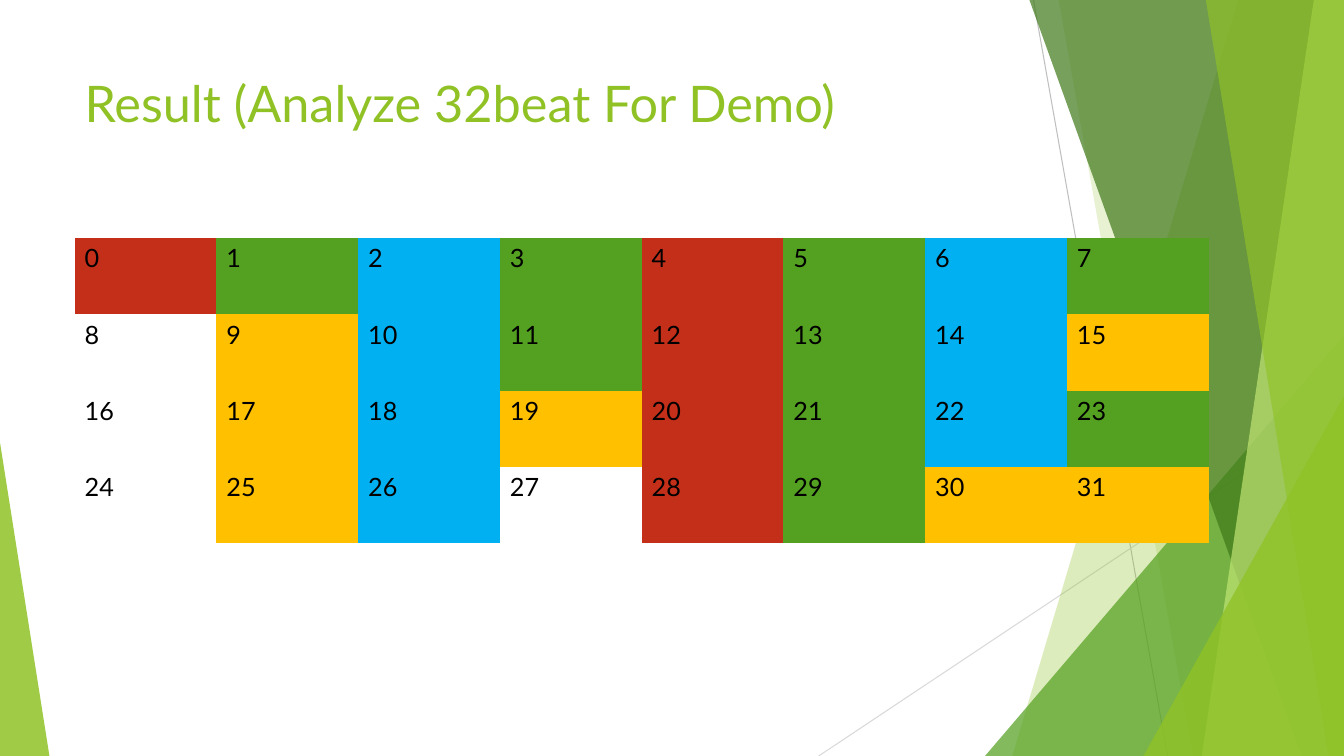
from lxml import etree
from pptx import Presentation
from pptx.dml.color import RGBColor
from pptx.enum.shapes import MSO_CONNECTOR, MSO_SHAPE
from pptx.enum.text import MSO_ANCHOR
from pptx.oxml.ns import qn
from pptx.util import Inches, Pt

STRAIGHT = MSO_CONNECTOR.STRAIGHT
TRIANGLE = MSO_SHAPE.ISOSCELES_TRIANGLE
TOP = MSO_ANCHOR.TOP
NO_STYLE = "{2D5ABB26-0587-4C30-8999-92F81FD0307C}"
W, H = 13.33, 7.5
ROWS, COLS = 4, 8


def color(value):
    return RGBColor.from_string(value)


def paint(sp, value, opacity):
    sp.shadow.inherit = False
    sp.line.fill.background()
    sp.fill.solid()
    sp.fill.fore_color.rgb = color(value)
    clr = sp.fill._xPr.find(".//" + qn("a:srgbClr"))
    etree.SubElement(clr, qn("a:alpha")).set("val", str(opacity * 1000))


prs = Presentation()
prs.slide_width, prs.slide_height = Inches(W), Inches(H)
s = prs.slides.add_slide(prs.slide_layouts[6])

for x1, y1, x2, y2, value in [
    (10.25, 0, 11.58, H, "BFBFBF"),
    (W, 4.03, 8.12, H, "D9D9D9"),
]:
    line = s.shapes.add_connector(STRAIGHT, Inches(x1), Inches(y1), Inches(x2), Inches(y2))
    line.line.color.rgb = color(value)
    line.line.width = Pt(0.75)
    etree.SubElement(line._element.spPr, qn("a:effectLst"))

facets = [
    ("band", 12.28, 10.04, "90C226", 30),
    ("band", 10.5, 11.83, "90C226", 20),
    ("triangle", 9.77, 3.33, "54A021", 72),
    ("band", 10.21, 12.91, "3F7819", 70),
    ("band", 13.03, 11.92, "C0E474", 70),
    ("band", 11.96, 13.18, "90C226", 65),
    ("triangle", 11.34, 3.93, "90C226", 80),
]
for kind, a, b, value, opacity in facets:
    if kind == "band":
        fb = s.shapes.build_freeform(Inches(a), 0)
        fb.add_line_segments([(Inches(x), Inches(y)) for x, y in [(W, 0), (W, H), (b, H)]])
        sp = fb.convert_to_shape()
    else:
        sp = s.shapes.add_shape(TRIANGLE, Inches(a), Inches(b), Inches(W - a), Inches(H - b))
        sp.adjustments[0] = 1
    paint(sp, value, opacity)

left_facet = s.shapes.add_shape(TRIANGLE, 0, Inches(4.39), Inches(0.49), Inches(H - 4.39))
left_facet.adjustments[0] = 0
paint(left_facet, "90C226", 85)

title = s.shapes.add_textbox(Inches(0.74), Inches(0.67), Inches(9.4), Inches(1.44))
tf = title.text_frame
tf.word_wrap = True
tf.vertical_anchor = TOP
r = tf.paragraphs[0].add_run()
r.text = "Result (Analyze 32beat For Demo)"
for name, setting in {"name": "Lato", "size": Pt(36)}.items():
    setattr(r.font, name, setting)
r.font.color.rgb = color("90C226")

fills = {"R": "C42F1A", "G": "54A021", "B": "00B0F0", "Y": "FFC000"}
beats = ["RGBGRGBG", "-YBGRGBY", "-YBYRGBG", "-YB-RGYY"]
frame = s.shapes.add_table(ROWS, COLS, Inches(0.74), Inches(2.36), Inches(11.25), Inches(3.03))
table = frame.table
table.first_row = table.horz_banding = False
table._tbl.tblPr.find(qn("a:tableStyleId")).text = NO_STYLE
for i, row in enumerate(beats):
    for j, beat in enumerate(row):
        cell = table.cell(i, j)
        if beat in fills:
            cell.fill.solid()
            cell.fill.fore_color.rgb = color(fills[beat])
        else:
            cell.fill.background()
        r = cell.text_frame.paragraphs[0].add_run()
        r.text = str(i * COLS + j)
        for name, setting in {"name": "Lato", "size": Pt(18)}.items():
            setattr(r.font, name, setting)
        r.font.color.rgb = color("000000")

prs.save("out.pptx")
